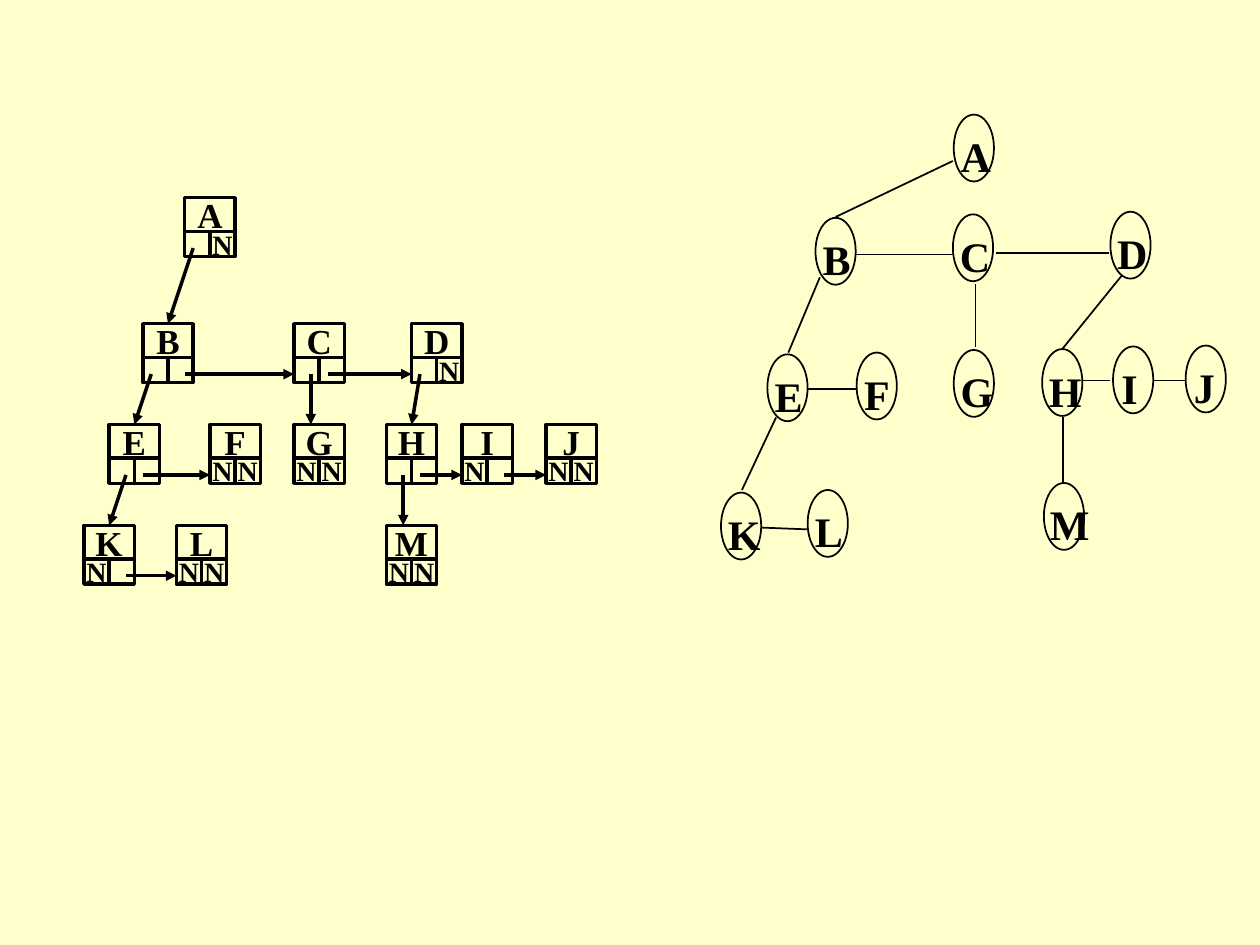
from lxml import etree
from pptx import Presentation
from pptx.dml.color import RGBColor
from pptx.enum.shapes import MSO_CONNECTOR, MSO_SHAPE
from pptx.enum.text import MSO_ANCHOR, MSO_AUTO_SIZE, PP_ALIGN
from pptx.oxml.ns import qn
from pptx.util import Pt

STRAIGHT = MSO_CONNECTOR.STRAIGHT
RECTANGLE, OVAL = MSO_SHAPE.RECTANGLE, MSO_SHAPE.OVAL
MIDDLE, CENTER = MSO_ANCHOR.MIDDLE, PP_ALIGN.CENTER
FIT_SHAPE = MSO_AUTO_SIZE.SHAPE_TO_FIT_TEXT

BLACK = RGBColor(0x00, 0x00, 0x00)
CREAM = RGBColor(0xFF, 0xFF, 0xCC)
FONT = "Times New Roman"

# Linked list: grid column, grid row, left pointer, right pointer
UNIT = 4.8
LIST_NODES = {
    "A": (12, 0, "", "N"),
    "C": (25, 15, "", ""), "B": (7, 15, "", ""), "D": (39, 15, "", "N"),
    "E": (3, 27, "", ""), "K": (0, 39, "N", ""), "F": (15, 27, "N", "N"),
    "G": (25, 27, "N", "N"), "H": (36, 27, "", ""), "I": (45, 27, "N", ""),
    "J": (55, 27, "N", "N"), "L": (11, 39, "N", "N"), "M": (36, 39, "N", "N"),
}
# Parent, first child, start and end offset in grid units
CHILD_ARROWS = [("A", "B", 1, 3), ("B", "E", 1, 3), ("E", "K", 2, 3),
                ("C", "G", 2, 2), ("D", "H", 1, 3), ("H", "M", 2, 2)]
# Node, next sibling, start offset in grid units
SIBLING_ARROWS = [("B", "C", 5), ("E", "F", 4), ("K", "L", 5),
                  ("C", "D", 4), ("H", "I", 4), ("I", "J", 5)]

# Tree: left, top, width of the label
OVAL_WIDTH, OVAL_HEIGHT = 23, 38.2
TREE_NODES = {
    "A": (133, 0, 31.7), "B": (54, 59, 30.2), "C": (132.5, 57, 30.2),
    "D": (222.5, 55.5, 31.7), "E": (26.5, 137, 28.8), "F": (77.5, 136, 28),
    "G": (133, 134.5, 31.7), "H": (183.5, 134, 31.7), "I": (224, 132.5, 22.3),
    "J": (265.5, 132, 23.8), "K": (0, 216, 31.7), "L": (49.5, 214.5, 28.8),
    "M": (184.5, 210.5, 36),
}
TREE_EDGES = [
    (132.5, 26.5, 65.5, 58.5), (77, 80, 133, 80), (157, 79, 221.5, 79),
    (56.5, 93, 38.5, 136), (50, 157, 77, 157), (31.5, 173, 12, 214.5),
    (23.5, 236, 49, 237), (145.5, 97, 145.5, 133), (229, 92, 195, 134),
    (207, 152, 222.5, 152), (247, 152, 265.5, 152), (195.5, 173, 195.5, 210.5),
]


def write_text(shape, text, size):
    shape.text_frame.word_wrap = False
    paragraph = shape.text_frame.paragraphs[0]
    paragraph.text = text
    font = paragraph.runs[0].font
    font.name, font.size, font.bold = FONT, Pt(size), True
    font.color.rgb = BLACK
    return paragraph


def add_outline(shapes, kind, left, top, width, height, weight):
    shape = shapes.add_shape(kind, Pt(left), Pt(top), Pt(width), Pt(height))
    shape.shadow.inherit = False
    shape.fill.background()
    shape.line.color.rgb = BLACK
    shape.line.width = Pt(weight)
    return shape


def add_line(shapes, start, end, weight, arrow=False):
    connector = shapes.add_connector(STRAIGHT, *map(Pt, (*start, *end)))
    connector.line.color.rgb = BLACK
    connector.line.width = Pt(weight)
    properties = connector._element.spPr
    if arrow:
        etree.SubElement(properties.find(qn("a:ln")), qn("a:tailEnd"), type="triangle")
    etree.SubElement(properties, qn("a:effectLst"))


def add_cell(shapes, left, top, width, height, text, size):
    cell = add_outline(shapes, RECTANGLE, left, top, width, height, 2)
    if text:
        write_text(cell, text, size).alignment = CENTER
        cell.text_frame.vertical_anchor = MIDDLE


def add_linked_list(slide, left, top):
    shapes = slide.shapes.add_group_shape().shapes

    def place(column, row):
        return left + column * UNIT, top + row * UNIT

    # Nodes: two pointer cells below a name cell
    for name, (column, row, first, second) in LIST_NODES.items():
        for offset, pointer in ((0, first), (3, second)):
            add_cell(shapes, *place(column + offset, row + 4),
                     3 * UNIT, 3 * UNIT, pointer, 16)
        add_cell(shapes, *place(column, row), 6 * UNIT, 4 * UNIT, name, 20)

    # Arrows to the first child and to the next sibling
    for parent, child, start, end in CHILD_ARROWS:
        column, row = LIST_NODES[parent][:2]
        child_column, child_row = LIST_NODES[child][:2]
        add_line(shapes, place(column + start, row + 6),
                 place(child_column + end, child_row), 2, arrow=True)
    for node, sibling, start in SIBLING_ARROWS:
        column, row = LIST_NODES[node][:2]
        add_line(shapes, place(column + start, row + 6),
                 place(LIST_NODES[sibling][0], row + 6), 2, arrow=True)


def add_tree(slide, left, top):
    # Nodes: an oval grouped with its label
    for name, (x, y, label_width) in TREE_NODES.items():
        shapes = slide.shapes.add_group_shape().shapes
        add_outline(shapes, OVAL, left + x, top + y, OVAL_WIDTH, OVAL_HEIGHT, 1)
        label = shapes.add_textbox(Pt(left + x - label_width / 10), Pt(top + y + 5.6),
                                   Pt(label_width), Pt(36))
        write_text(label, name, 24)
        label.text_frame.auto_size = FIT_SHAPE

    # Edges
    for x1, y1, x2, y2 in TREE_EDGES:
        add_line(slide.shapes, (left + x1, top + y1), (left + x2, top + y2), 1)


def main():
    presentation = Presentation()
    presentation.slide_width, presentation.slide_height = Pt(720), Pt(540)
    slide = presentation.slides.add_slide(presentation.slide_layouts[6])
    slide.background.fill.solid()
    slide.background.fill.fore_color.rgb = CREAM
    add_tree(slide, 412, 65.5)
    add_linked_list(slide, 48, 113)
    presentation.save("out.pptx")


if __name__ == "__main__":
    main()
